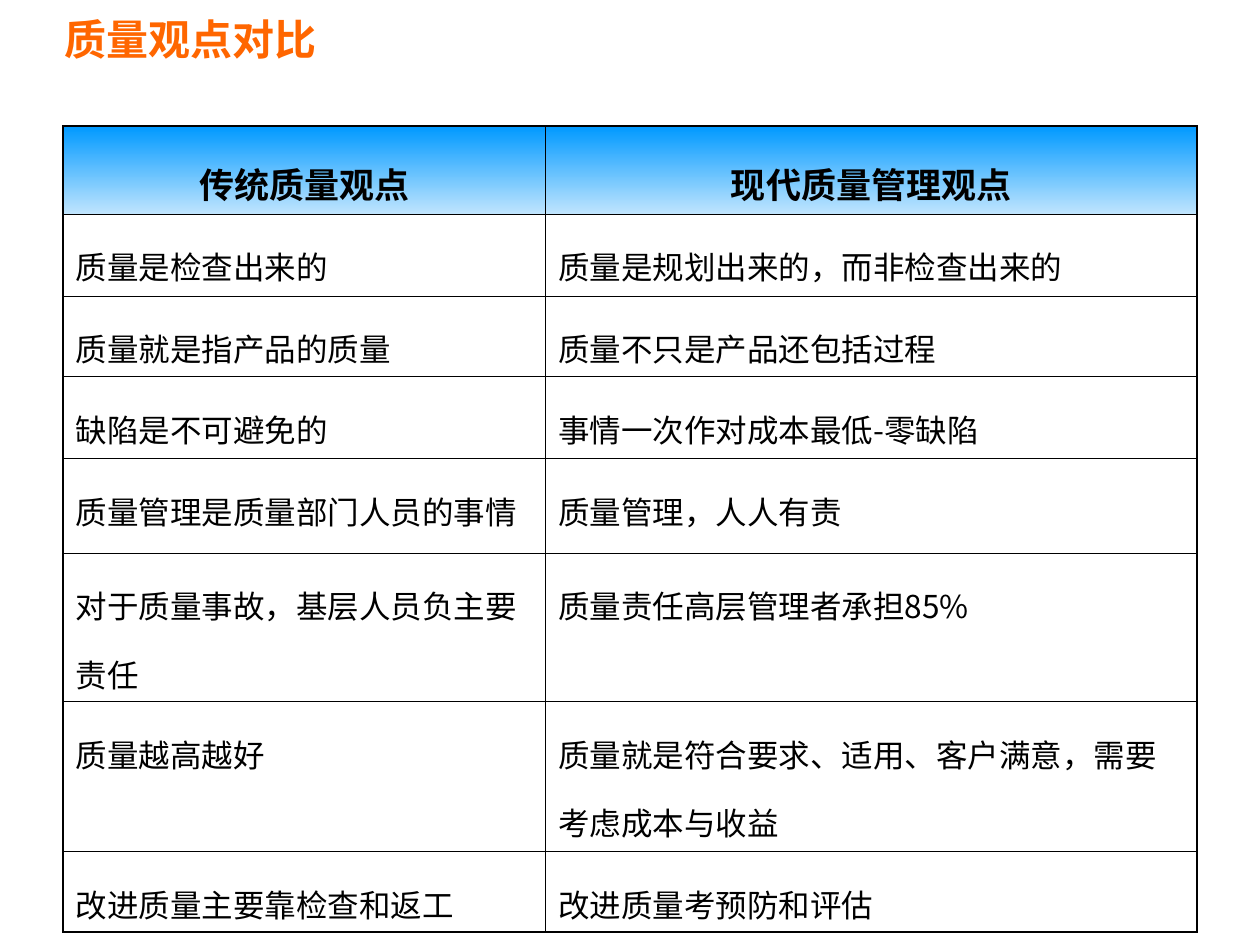
from lxml import etree
from pptx import Presentation
from pptx.dml import color
from pptx.enum import text
from pptx.oxml import ns
from pptx.util import Inches, Pt

THEME = {
    "title": {"size": Pt(24), "bold": True, "name": "Arial", "color": "FF6600"},
    "header": {"size": Pt(20), "bold": True, "name": "Arial", "color": "000000"},
    "traditional": {"size": Pt(18), "bold": False, "name": "Arial", "color": "000000"},
    "modern": {"size": Pt(18), "bold": False, "name": "Noto Sans CJK SC", "color": "000000"},
    "chinese": "Noto Sans CJK SC",
    "gradient": ("0099FF", "C0E5FE"),
    "border": "000000",
    "outer": Pt(1.08),
    "inner": Pt(0.45),
}

VIEWS = [
    ("传统质量观点", "现代质量管理观点"),
    ("质量是检查出来的", "质量是规划出来的，而非检查出来的"),
    ("质量就是指产品的质量", "质量不只是产品还包括过程"),
    ("缺陷是不可避免的", "事情一次作对成本最低-零缺陷"),
    ("质量管理是质量部门人员的事情", "质量管理，人人有责"),
    ("对于质量事故，基层人员负主要责任", "质量责任高层管理者承担85%"),
    ("质量越高越好", "质量就是符合要求、适用、客户满意，需要考虑成本与收益"),
    ("改进质量主要靠检查和返工", "改进质量考预防和评估"),
]
COLUMN_WIDTHS = (3.83, 5.17)
ROW_HEIGHTS = (0.7, 0.65, 0.64, 0.65, 0.75, 1.18, 1.19, 0.64)


def write(paragraph, words, style):
    run = paragraph.add_run()
    run.text = words
    for attribute in ("size", "bold", "name"):
        setattr(run.font, attribute, style[attribute])
    run.font.color.rgb = color.RGBColor.from_string(style["color"])
    etree.SubElement(run.font._element, ns.qn("a:ea"), typeface=THEME["chinese"])


def draw_borders(cell, edges):
    properties = cell._tc.get_or_add_tcPr()
    for place, (side, is_outer) in enumerate(edges.items()):
        width = THEME["outer"] if is_outer else THEME["inner"]
        line = etree.Element(ns.qn(f"a:ln{side}"), w=str(int(width)))
        solid = etree.SubElement(line, ns.qn("a:solidFill"))
        etree.SubElement(solid, ns.qn("a:srgbClr"), val=THEME["border"])
        properties.insert(place, line)


prs = Presentation()
prs.slide_width, prs.slide_height = Inches(10), Inches(7.5)
slide = prs.slides.add_slide(prs.slide_layouts[6])

heading = slide.shapes.add_textbox(Inches(0.41), 0, Inches(4.58), Inches(0.62)).text_frame
heading.word_wrap = True
heading.vertical_anchor = text.MSO_ANCHOR.MIDDLE
write(heading.paragraphs[0], "质量观点对比", THEME["title"])

comparison = slide.shapes.add_table(
    len(VIEWS), len(COLUMN_WIDTHS), Inches(0.5), Inches(1),
    Inches(sum(COLUMN_WIDTHS)), Inches(sum(ROW_HEIGHTS)),
).table
comparison.first_row = comparison.horz_banding = False
for column, width in zip(comparison.columns, COLUMN_WIDTHS):
    column.width = Inches(width)
for row, height in zip(comparison.rows, ROW_HEIGHTS):
    row.height = Inches(height)

for r, views in enumerate(VIEWS):
    for c, view in enumerate(views):
        cell = comparison.cell(r, c)
        paragraph = cell.text_frame.paragraphs[0]
        paragraph.line_spacing = 1.5
        if r == 0:
            paragraph.alignment = text.PP_ALIGN.CENTER
            cell.fill.gradient()
            cell.fill.gradient_angle = 270
            for stop, shade in zip(cell.fill.gradient_stops, THEME["gradient"]):
                stop.color.rgb = color.RGBColor.from_string(shade)
            style = THEME["header"]
        else:
            cell.fill.background()
            style = THEME[("traditional", "modern")[c]]
        write(paragraph, view, style)
        draw_borders(cell, {
            "L": c == 0,
            "R": c == len(views) - 1,
            "T": r == 0,
            "B": r == len(VIEWS) - 1,
        })

prs.save("out.pptx")
